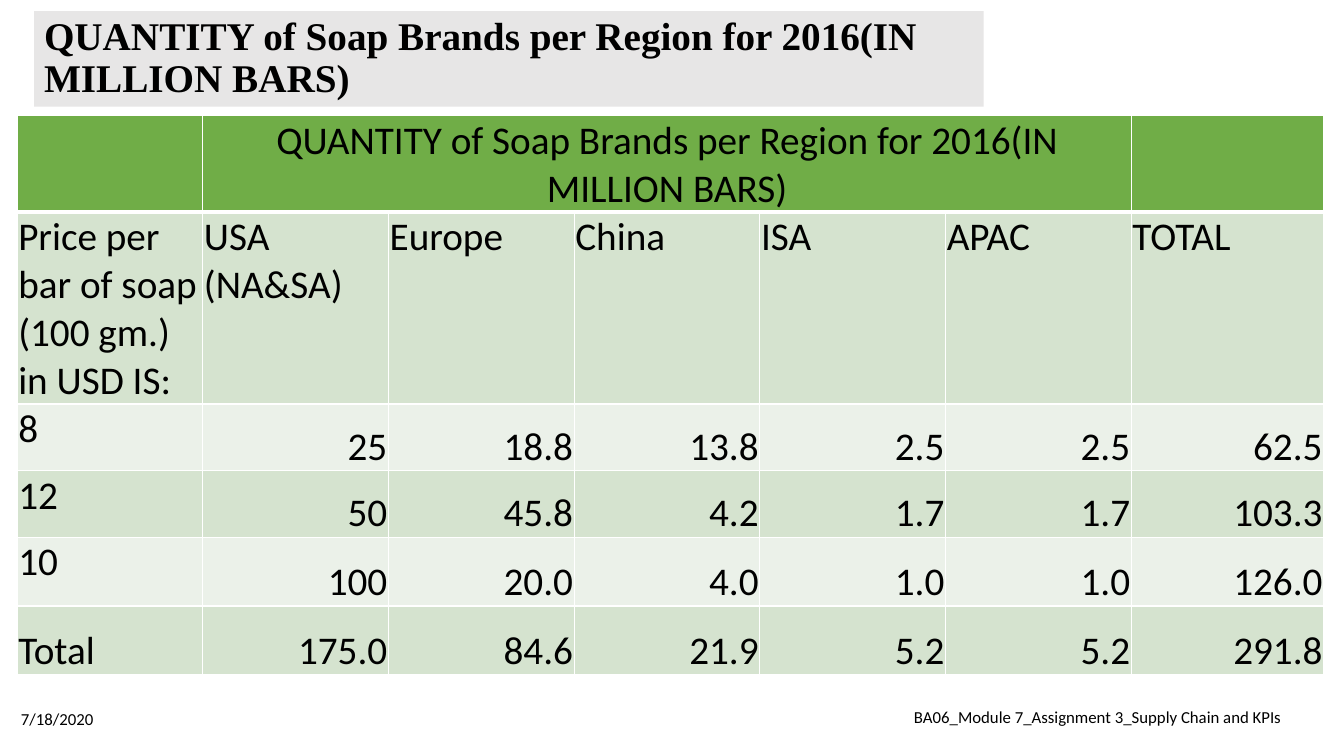
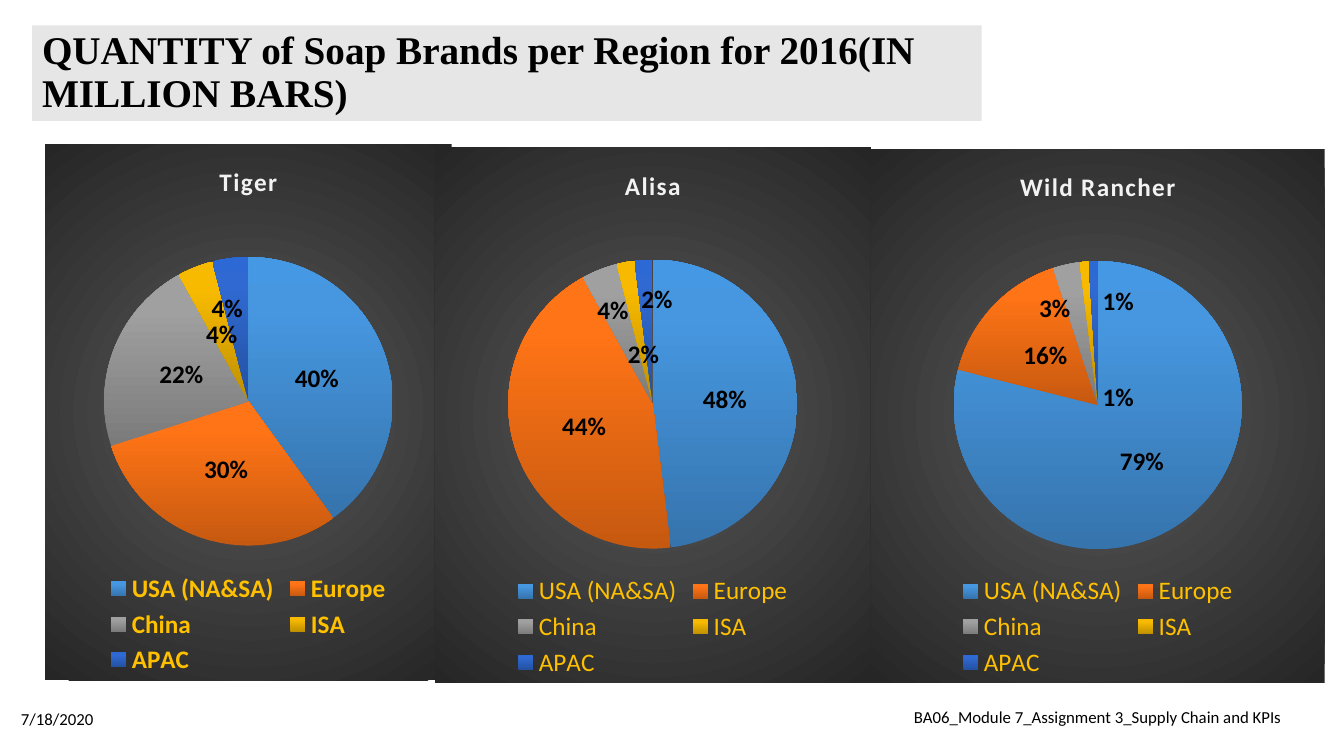
from lxml import etree
from pptx import Presentation
from pptx.chart.data import CategoryChartData
from pptx.dml.color import RGBColor
from pptx.enum.chart import XL_CHART_TYPE, XL_LABEL_POSITION, XL_LEGEND_POSITION
from pptx.enum.shapes import MSO_SHAPE
from pptx.enum.text import MSO_ANCHOR, PP_ALIGN
from pptx.oxml import parse_xml
from pptx.oxml.ns import nsdecls, qn
from pptx.util import Cm, Pt

PIE = XL_CHART_TYPE.PIE
LABEL_CENTER = XL_LABEL_POSITION.CENTER
LEGEND_BOTTOM = XL_LEGEND_POSITION.BOTTOM
RECT = MSO_SHAPE.RECTANGLE
TOP, MIDDLE, BOTTOM = MSO_ANCHOR.TOP, MSO_ANCHOR.MIDDLE, MSO_ANCHOR.BOTTOM
LEFT, CENTER, RIGHT = PP_ALIGN.LEFT, PP_ALIGN.CENTER, PP_ALIGN.RIGHT

COLORS = {
    "text": "000000", "title_band": "E7E6E6", "border": "FFFFFF",
    "header": "70AD47", "band_dark": "D5E3CF", "band_light": "EBF1E9",
    "legend": "FFC000", "chart_title": "F2F2F2",
}
BODY_FONT, TITLE_FONT = "Calibri", "Times New Roman"
TITLE = "QUANTITY of Soap Brands per Region for 2016(IN MILLION BARS)"
DATE = "7/18/2020"
FOOTER = "BA06_Module 7_Assignment 3_Supply Chain and KPIs"
REGIONS = ["USA (NA&SA)", "Europe", "China", "ISA", "APAC"]

# Gradient stops: (position in percent, colour)
CHART_BACK = [(0, "595959"), (100, "262626")]
SLICES = [
    [(0, "3674AD"), (80, "4697E0"), (100, "4498E4")],
    [(0, "C65910"), (80, "FF7416"), (100, "FF7517")],
    [(0, "7B7B7B"), (80, "A0A0A0"), (100, "A1A1A1")],
    [(0, "BE8F00"), (80, "F7BA00"), (100, "F8BB00")],
    [(0, "2451A1"), (80, "2F69D1"), (100, "2C69D5")],
]
UPWARD = '<a:lin ang="16200000" scaled="0"/>'
RADIAL = ('<a:path path="circle"><a:fillToRect l="50000" t="50000" '
          'r="50000" b="50000"/></a:path>')

ROWS = [
    ["", TITLE, "", "", "", "", ""],
    ["Price per bar of soap (100 gm.) in USD IS:", *REGIONS, "TOTAL"],
    ["8", "25", "18.8", "13.8", "2.5", "2.5", "62.5"],
    ["12", "50", "45.8", "4.2", "1.7", "1.7", "103.3"],
    ["10", "100", "20.0", "4.0", "1.0", "1.0", "126.0"],
    ["Total", "175.0", "84.6", "21.9", "5.2", "5.2", "291.8"],
]
COL_WIDTHS = [4.68] * 6 + [4.85]
ROW_HEIGHTS = [2.42, 4.84, 1.68, 1.68, 1.73, 1.73]

# Pies: name, box in cm, values, legend bold, label shifts as chart fractions
PIES = [
    ("Tiger", (1.14, 3.63, 10.24, 13.51), (40, 30, 22, 4, 4), True,
     {4: (-0.03, -0.04)}),
    ("Alisa", (10.95, 3.71, 11, 13.49), (48, 44, 4, 2, 2), False,
     {2: (-0.03, -0.05), 3: (0.01, 0.04), 4: (0.02, -0.06)}),
    ("Wild Rancher", (21.95, 3.76, 11.43, 13.44), (79, 16, 3, 1, 1), False,
     {2: (-0.06, -0.05), 3: (0.06, 0.12), 4: (0.05, -0.06)}),
]
PIE_SIDE, PIE_TOP = 7.32, 2.82


def rgb(name):
    return RGBColor.from_string(COLORS[name])


def style_font(font, size, color="text", bold=False, name=BODY_FONT):
    font.size, font.bold, font.name = Pt(size), bold, name
    font.color.rgb = rgb(color)


def write(tf, text, size, align=LEFT, anchor=MIDDLE, **style):
    tf.text, tf.word_wrap, tf.vertical_anchor = text, True, anchor
    p = tf.paragraphs[0]
    p.alignment = align
    for r in p.runs:
        style_font(r.font, size, **style)
    return p


def gradient(stops, direction):
    gs = "".join(f'<a:gs pos="{pos * 1000}"><a:srgbClr val="{color}"/></a:gs>'
                 for pos, color in stops)
    return parse_xml(f'<a:gradFill {nsdecls("a")} rotWithShape="1">'
                     f'<a:gsLst>{gs}</a:gsLst>{direction}</a:gradFill>')


def layout_xml(**values):
    parts = "".join(f'<c:{tag} val="{val}"/>' for tag, val in values.items())
    return (f'<c:layout {nsdecls("c")}><c:manualLayout>{parts}'
            '</c:manualLayout></c:layout>')


# Title band, date and footer
def add_frame(prs, left, top):
    s = prs.slides.add_slide(prs.slide_layouts[6])
    sp = s.shapes.add_shape(RECT, Cm(left), Cm(top), Cm(23.93), Cm(2.41))
    sp.shadow.inherit = False
    sp.fill.solid()
    sp.fill.fore_color.rgb = rgb("title_band")
    sp.line.fill.background()
    p = write(sp.text_frame, TITLE, 28, bold=True, name=TITLE_FONT)
    p.line_spacing = 0.9
    for text, x, y, w, align in ((DATE, 0.28, 17.6, 7.62, LEFT),
                                 (FOOTER, 21.95, 17.55, 11.43, CENTER)):
        box = s.shapes.add_textbox(Cm(x), Cm(y), Cm(w), Cm(1.02))
        write(box.text_frame, text, 12, align)
    return s


def set_borders(cell, bottom):
    tcPr = cell._tc.get_or_add_tcPr()
    for side, width in (("L", 1), ("R", 1), ("T", 1), ("B", bottom)):
        ln = etree.SubElement(tcPr, qn(f"a:ln{side}"), w=str(Pt(width)))
        fill = etree.SubElement(ln, qn("a:solidFill"))
        etree.SubElement(fill, qn("a:srgbClr"), val=COLORS["border"])


# Quantity table
def add_quantity_table(s, left, top):
    frame = s.shapes.add_table(len(ROWS), len(COL_WIDTHS), Cm(left), Cm(top),
                               Cm(sum(COL_WIDTHS)), Cm(sum(ROW_HEIGHTS)))
    table = frame.table
    for column, width in zip(table.columns, COL_WIDTHS):
        column.width = Cm(width)
    for row, height in zip(table.rows, ROW_HEIGHTS):
        row.height = Cm(height)
    last = len(ROWS) - 1
    for i, texts in enumerate(ROWS):
        band = "header" if i == 0 else "band_dark" if i % 2 else "band_light"
        for j, text in enumerate(texts):
            cell = table.cell(i, j)
            set_borders(cell, 3 if i == 0 else 1)
            cell.fill.solid()
            cell.fill.fore_color.rgb = rgb(band)
            cell.margin_left = cell.margin_right = cell.margin_top = Cm(0.03)
            cell.margin_bottom = 0
            number = i > 1 and j > 0
            align = CENTER if i == 0 else RIGHT if number else LEFT
            write(cell.text_frame, text, 28, align)
            cell.vertical_anchor = BOTTOM if number or i == last else TOP
    table.cell(0, 1).merge(table.cell(0, 5))


def shift_label(labels, index, dx, dy):
    shows = "".join(f'<c:show{tag} val="{int(tag == "Percent")}"/>' for tag in
                    ("LegendKey", "Val", "CatName", "SerName", "Percent",
                     "BubbleSize"))
    labels._element.insert(0, parse_xml(
        f'<c:dLbl {nsdecls("c")}><c:idx val="{index}"/>'
        f'{layout_xml(x=dx, y=dy)}<c:dLblPos val="ctr"/>{shows}</c:dLbl>'))


# One pie with its title, labels and legend
def add_pie(s, name, box, values, legend_bold, shifts):
    data = CategoryChartData()
    data.categories = REGIONS
    data.add_series(name, values)
    chart = s.shapes.add_chart(PIE, *map(Cm, box), data).chart
    style_font(chart.font, 18)

    # Dark background
    back = parse_xml(f'<c:spPr {nsdecls("c", "a")}><a:ln><a:noFill/></a:ln></c:spPr>')
    back.insert(0, gradient(CHART_BACK, RADIAL))
    chart._chartSpace.find(qn("c:chart")).addnext(back)

    chart.has_title = True
    tf = chart.chart_title.text_frame
    tf.text = name
    r = tf.paragraphs[0].runs[0]
    style_font(r.font, 18, "chart_title", True)
    r._r.get_or_add_rPr().set("spc", "100")

    chart.has_legend = True
    chart.legend.position = LEGEND_BOTTOM
    chart.legend.include_in_layout = False
    style_font(chart.legend.font, 18, "legend", legend_bold)

    # Pie centred across the box
    width, height = box[2:]
    w, h = round(PIE_SIDE / width, 2), round(PIE_SIDE / height, 2)
    area = chart._chartSpace.find(".//" + qn("c:plotArea"))
    for old in area.findall(qn("c:layout")):
        area.remove(old)
    area.insert(0, parse_xml(layout_xml(
        layoutTarget="inner", xMode="edge", yMode="edge",
        x=(1 - w) / 2, y=round(PIE_TOP / height, 2), w=w, h=h)))

    plot = chart.plots[0]
    plot.vary_by_categories = True
    for i, stops in enumerate(SLICES):
        dPt = plot.series[0].points[i].format._element
        dPt.get_or_add_spPr().append(gradient(stops, UPWARD))

    labels = plot.series[0].data_labels
    labels.show_percentage, labels.show_value = True, False
    labels.number_format, labels.number_format_is_linked = "0%", False
    labels.position = LABEL_CENTER
    style_font(labels.font, 18, bold=True)
    for i in sorted(shifts, reverse=True):
        shift_label(labels, i, *shifts[i])


def main():
    prs = Presentation()
    prs.slide_width, prs.slide_height = Cm(33.87), Cm(19.05)
    add_quantity_table(add_frame(prs, 0.86, 0.28), 0.43, 2.92)
    s = add_frame(prs, 0.81, 0.64)
    for pie in PIES:
        add_pie(s, *pie)
    prs.save("out.pptx")


if __name__ == "__main__":
    main()
